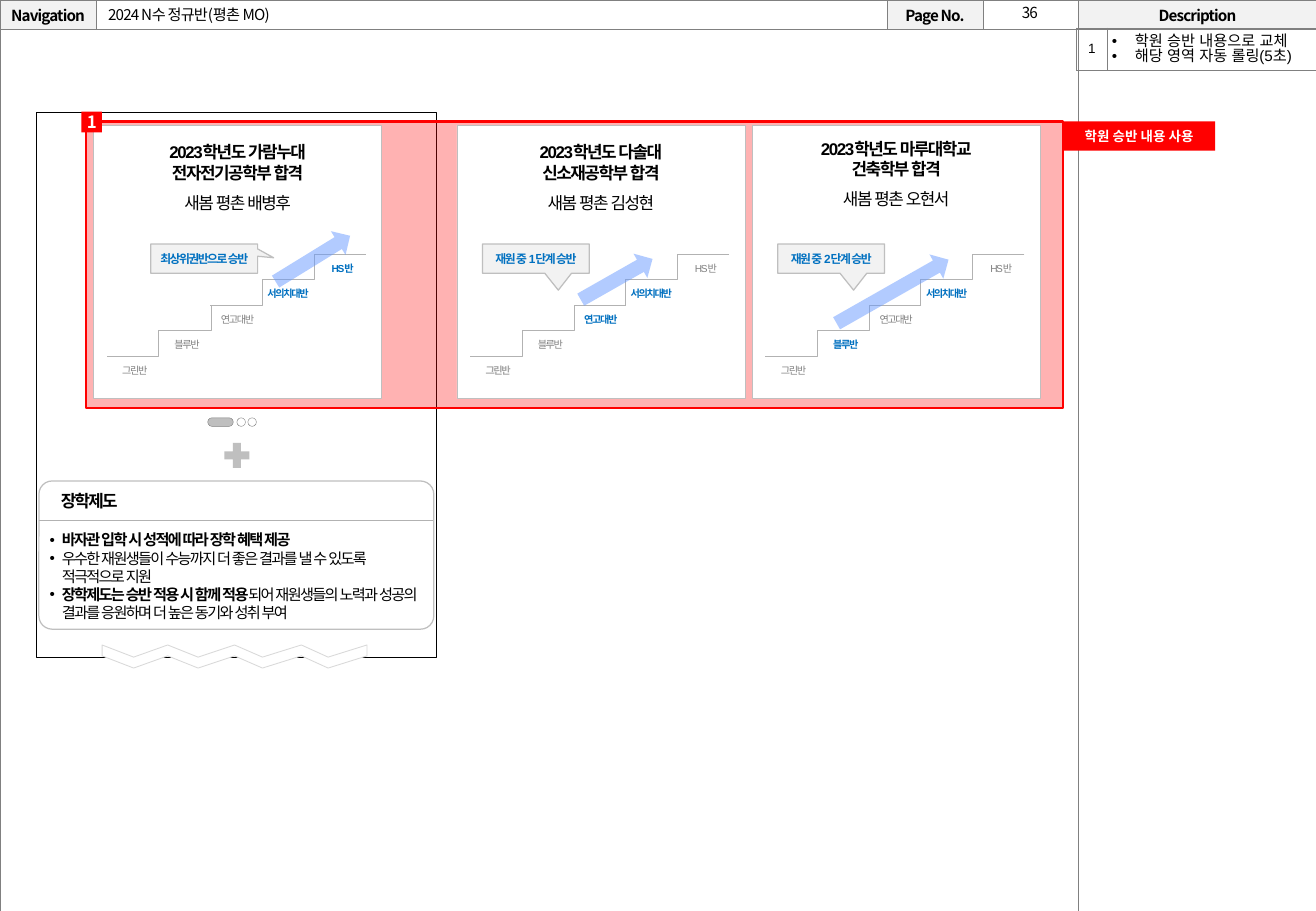
"""Build the storyboard slide for the class promotion rolling banner."""
import pptx
import pptx.util
import pptx.dml.color
import pptx.enum.shapes
import pptx.enum.text
import pptx.oxml.ns
from lxml import etree

PX = 9144
SANS = "Noto Sans CJK KR"
COLORS = {
    "black": "000000", "white": "FFFFFF", "head": "F2F2F2", "edge": "808080",
    "gray": "808080", "pale": "A6A6A6", "step": "B2B2B2", "soft": "BFBFBF",
    "wave": "D9D9D9", "red": "FF0000", "blue": "0070C0", "arrow": "6699FF",
}
KIND = pptx.enum.shapes.MSO_SHAPE
LINK = pptx.enum.shapes.MSO_CONNECTOR
MID = pptx.enum.text.MSO_ANCHOR.MIDDLE
LEFT = pptx.enum.text.PP_ALIGN.LEFT
MIDST = pptx.enum.text.PP_ALIGN.CENTER

STEPS = [(1, 44, "그린반"), (44, 44, "블루반"), (81, 53, "연고대반"),
         (120, 58, "서의치대반"), (172, 44, "HS반")]
CARDS = [
    (77, 112, "2023학년도 가람누대\n전자전기공학부 합격\n새봄 평촌 배병후",
     ["gray", "gray", "gray", "blue", "blue"],
     (47, "최상위권반으로 승반", 0.65, -0.03), (169, 177, 72, 58.4)),
    (376, 112, "2023학년도 다솔대\n신소재공학부 합격\n새봄 평촌 김성현",
     ["pale", "gray", "blue", "blue", "gray"],
     (21, "재원 중 1단계 승반", 0.21, 1.08), (120, 196, 68, 60.4)),
    (619, 109, "2023학년도 마루대학교\n건축학부 합격\n새봄 평촌 오현서",
     ["gray", "blue", "gray", "blue", "gray"],
     (21, "재원 중 2단계 승반", 0.21, 1.08), (104, 187, 106, 60.4)),
]


def px(*nums):
    return [pptx.util.Emu(num * PX) for num in nums]


def rgb(name):
    return pptx.dml.color.RGBColor.from_string(COLORS[name])


def sub(node, tag, **atts):
    return etree.SubElement(node, pptx.oxml.ns.qn(tag), **atts)


def style(para, size, color="black", bold=False, font="Arial", space=0, align=MIDST):
    para.alignment = align
    for run in para.runs:
        run.font.size = pptx.util.Pt(size)
        run.font.bold = bold
        run.font.color.rgb = rgb(color)
        run.font.name = font
        props = run.font._element
        props.set("spc", str(round(space * 100)))
        sub(props, "a:ea", typeface=font)


def write(frame, text, size, **look):
    frame.text = text
    for para in frame.paragraphs:
        style(para, size, **look)


def bullet(para, indent):
    props = para._p.get_or_add_pPr()
    props.set("marL", str(indent * PX))
    props.set("indent", str(-indent * PX))
    sub(props, "a:buFont", typeface="Arial")
    sub(props, "a:buChar", char="•")


def pad(box, side, ends):
    box.margin_left = box.margin_right = px(side)[0]
    box.margin_top = box.margin_bottom = px(ends)[0]


def paint(shape, fill, line, width, alpha=100):
    shape.shadow.inherit = False
    if fill:
        shape.fill.solid()
        shape.fill.fore_color.rgb = rgb(fill)
        if alpha < 100:
            tint = shape.fill._xPr.find(".//" + pptx.oxml.ns.qn("a:srgbClr"))
            sub(tint, "a:alpha", val=str(alpha * 1000))
    else:
        shape.fill.background()
    if line:
        shape.line.color.rgb = rgb(line)
        shape.line.width = pptx.util.Pt(width)
    else:
        shape.line.fill.background()


def block(slide, kind, spot, fill=None, line=None, width=0.25, alpha=100):
    shape = slide.shapes.add_shape(kind, *px(*spot))
    paint(shape, fill, line, width, alpha)
    return shape


def label(slide, spot, text, size, **look):
    frame = slide.shapes.add_textbox(*px(*spot)).text_frame
    frame.word_wrap = True
    write(frame, text, size, **look)
    return frame


def tag(shape, text, size, **look):
    frame = shape.text_frame
    frame.word_wrap = False
    frame.vertical_anchor = MID
    pad(frame, 0, 0)
    write(frame, text, size, **look)


def link(slide, kind, *ends):
    line = slide.shapes.add_connector(kind, *px(*ends))
    line.line.color.rgb = rgb("step")
    line.line.width = pptx.util.Pt(0.25)
    sub(line._element.spPr, "a:effectLst")


def border(cell):
    props = cell._tc.get_or_add_tcPr()
    for spot, side in enumerate("LRTB"):
        line = sub(props, "a:ln" + side, w="3175")
        sub(sub(line, "a:solidFill"), "a:srgbClr", val=COLORS["edge"])
        props.insert(spot, line)


def grid(slide, left, top, cols, rows):
    spot = px(left, top, sum(cols), sum(rows))
    table = slide.shapes.add_table(len(rows), len(cols), *spot).table
    table.first_row = table.horz_banding = False
    for col, size in zip(table.columns, px(*cols)):
        col.width = size
    for row, size in zip(table.rows, px(*rows)):
        row.height = size
    for cell in table.iter_cells():
        cell.fill.background()
        cell.vertical_anchor = MID
        border(cell)
    return table


def header(slide):
    table = grid(slide, 0, 0, [79, 651, 79, 78, 197], [24, 727])
    table.cell(1, 0).merge(table.cell(1, 3))
    names = ["Navigation", "", "Page No.", "", "Description"]
    for col, name in enumerate(names):
        cell = table.cell(0, col)
        pad(cell, 0, 0)
        if name:
            cell.fill.solid()
            cell.fill.fore_color.rgb = rgb("head")
            write(cell.text_frame, name, 9, bold=True, font=SANS, space=-0.5)
        else:
            sub(cell.text_frame.paragraphs[0]._p, "a:endParaRPr", sz="900")
    label(slide, (809, -2, 77, 25), "36", 9, font=SANS, space=-0.5)
    title = slide.shapes.title
    title.left, title.top, title.width, title.height = px(79, 0, 652, 23)
    frame = title.text_frame
    frame.auto_size = pptx.enum.text.MSO_AUTO_SIZE.NONE
    frame.vertical_anchor = MID
    write(frame, "2024 N수 정규반(평촌 MO)", 9, font=SANS, space=-0.5, align=LEFT)


def notes(slide):
    table = grid(slide, 886, 23, [25, 172], [35])
    mark, text = table.cell(0, 0), table.cell(0, 1)
    write(mark.text_frame, "1", 8, space=-1)
    write(text.text_frame, "학원 승반 내용으로 교체\n해당 영역 자동 롤링(5초)", 9, align=LEFT)
    for cell in (mark, text):
        pad(cell, 4, 4)
        for para in cell.text_frame.paragraphs:
            para.line_spacing = 0.9
    for para in text.text_frame.paragraphs:
        bullet(para, 19)


def panel(slide):
    block(slide, KIND.RECTANGLE, (30, 92, 329, 449), line="black")
    box = block(slide, KIND.ROUNDED_RECTANGLE, (32, 396, 325, 122), "white", "soft", 0)
    box.adjustments[0] = 0.09
    link(slide, LINK.STRAIGHT, 32, 428, 356, 428)
    label(slide, (30, 399, 87, 27), "장학제도", 10, bold=True, space=-1)
    frame = label(slide, (31, 432, 325, 86),
                  "바자관 입학 시 성적에 따라 장학 혜택 제공\n"
                  "우수한 재원생들이 수능까지 더 좋은 결과를 낼 수 있도록 적극적으로 지원\n"
                  "장학제도는 승반 적용 시 함께 적용", 9, space=-1, align=LEFT)
    first, _, last = frame.paragraphs
    first.runs[0].font.bold = last.runs[0].font.bold = True
    rest = last.add_run()
    rest.text = "되어 재원생들의 노력과 성공의 결과를 응원하며 더 높은 동기와 성취 부여"
    style(last, 9, space=-1, align=LEFT)
    last.runs[0].font.bold = True
    for para in frame.paragraphs:
        bullet(para, 10)
    wave(slide)
    block(slide, KIND.MATH_PLUS, (181, 361, 28, 28), "soft")
    block(slide, KIND.FLOWCHART_TERMINATOR, (171, 344, 21, 7), "soft", "edge")
    for left in (195, 204):
        block(slide, KIND.OVAL, (left, 344, 7, 7), "white", "edge")


def wave(slide):
    tops = [(x, 531 + 10 * (i % 2)) for i, x in
            enumerate([84, 110, 138, 163, 193, 216, 248, 270, 302])]
    lows = [(x, y + 9) for x, y in reversed(tops)]
    path = slide.shapes.build_freeform(*tops[0], scale=PX)
    path.add_line_segments(tops[1:] + lows, close=True)
    paint(path.convert_to_shape(), "white", "wave", 0.5)


def card(slide, left, top, text, tones, note, rise):
    block(slide, KIND.RECTANGLE, (left, 103, 237, 225), "white", "soft")
    frame = label(slide, (left, top, 237, 69), text, 10, bold=True, space=-0.8)
    name = frame.paragraphs[2]
    name.space_before = pptx.util.Pt(5.75)
    name.runs[0].font.bold = False
    base = left + 11
    for i in range(4):
        start, low = base + (85 * i + 1) // 2, 293 - 21 * i
        link(slide, LINK.ELBOW, start + 85, low - 21, start, low)
    for i, ((shift, width, word), tone) in enumerate(zip(STEPS, tones)):
        label(slide, (base + shift, 295 - 21 * i, width, 20), word, 6,
              color=tone, bold=tone != "gray", space=-0.8)
    shift, words, *tip = note
    call = block(slide, KIND.RECTANGULAR_CALLOUT, (left + shift, 201, 88, 24),
                 "head", "soft", 0)
    call.adjustments[0], call.adjustments[1] = tip
    tag(call, words, 7, color="blue", bold=True, space=-0.8)
    shift, high, length, turn = rise
    arrow = block(slide, KIND.UP_ARROW, (left + shift, high, 23, length), "arrow", alpha=50)
    arrow.rotation = turn


def main():
    deck = pptx.Presentation()
    deck.slide_width, deck.slide_height = px(1083, 750)
    slide = deck.slides.add_slide(deck.slide_layouts[5])
    header(slide)
    panel(slide)
    notes(slide)
    block(slide, KIND.RECTANGLE, (71, 100, 804, 236), "red", "red", 1.5, 30)
    for item in CARDS:
        card(slide, *item)
    for spot, text, size in [((67, 92, 17, 17), "1", 10),
                             ((875, 100, 125, 24), "학원 승반 내용 사용", 8)]:
        badge = block(slide, KIND.RECTANGLE, spot, "red")
        tag(badge, text, size, color="white", bold=True, font=SANS)
    deck.save("out.pptx")


if __name__ == "__main__":
    main()
